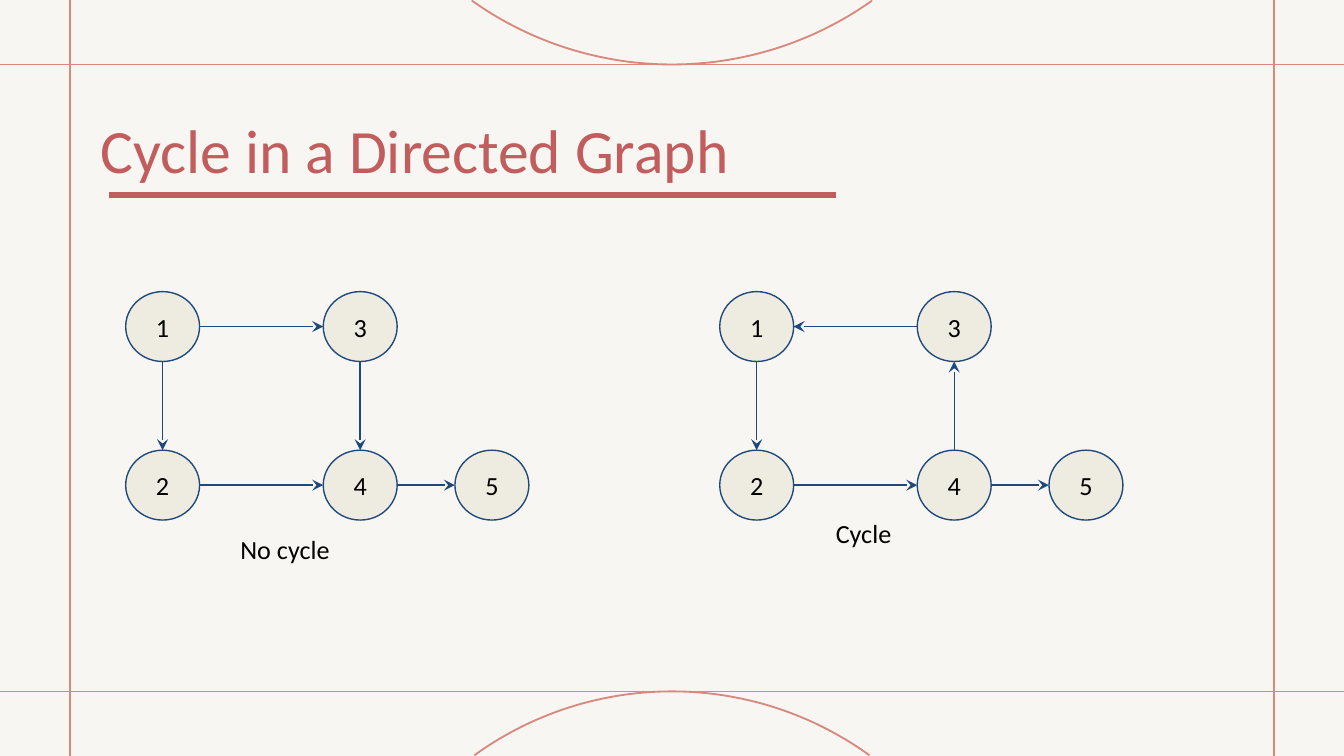
import math
from lxml import etree
from pptx import Presentation
from pptx import util as u
from pptx.dml.color import RGBColor
from pptx.enum import shapes, text
from pptx.oxml import ns

PAPER = RGBColor(0xF8, 0xF6, 0xF2)
ROSE = RGBColor(0xD8, 0x89, 0x7E)
RED = RGBColor(0xC2, 0x5D, 0x5D)
NAVY = RGBColor(0x1F, 0x49, 0x7D)
CREAM = RGBColor(0xEE, 0xEC, 0xE1)
BLACK = RGBColor(0, 0, 0)

WIDE = 10
HIGH = WIDE * 9 / 16
COL, ROW = 0.49, 1.18  # grid steps between node centres
NODE_W, NODE_H = 0.55, 0.52

deck = Presentation()
deck.slide_width, deck.slide_height = u.Inches(WIDE), u.Inches(HIGH)
slide = deck.slides.add_slide(deck.slide_layouts[6])
slide.background.fill.solid()
slide.background.fill.fore_color.rgb = PAPER
tree = slide.shapes


def write(words, box, size=14, color=BLACK, inset=0.1, align=text.PP_ALIGN.LEFT,
          anchor=text.MSO_ANCHOR.TOP):
    frame = box.text_frame
    frame.word_wrap = True
    frame.vertical_anchor = anchor
    frame.margin_left = frame.margin_right = u.Inches(inset)
    frame.margin_top = frame.margin_bottom = u.Inches(inset)
    para = frame.paragraphs[0]
    para.text, para.alignment = words, align
    para.font.size, para.font.name = u.Pt(size), "Calibri"
    para.font.color.rgb = color


def rule(x1, y1, x2, y2, color, width, arrow=False):
    """Draw a straight line, with an arrowhead at its end if asked."""
    line = tree.add_connector(shapes.MSO_CONNECTOR.STRAIGHT,
                              *map(u.Inches, (x1, y1, x2, y2)))
    line.line.color.rgb, line.line.width = color, u.Pt(width)
    if arrow:
        etree.SubElement(line.line._get_or_add_ln(), ns.qn("a:tailEnd"), type="stealth")
    etree.SubElement(line._element.spPr, ns.qn("a:effectLst"))


# Frame lines and the arcs that touch them
edge_x, edge_y = 0.52, 0.48
for y in (HIGH - edge_y, edge_y):
    rule(0, y, WIDE, y, ROSE, 1)
for x in (WIDE - edge_x, edge_x):
    rule(x, 0, x, HIGH, ROSE, 1)

for tip, side, half, rad in ((edge_y, -1, 1.49, 2.57), (HIGH - edge_y, 1, 1.47, 2.51)):
    sweep = math.asin(half / rad)
    dots = []
    for step in range(-30, 31):
        turn = sweep * step / 30
        dots.append((u.Inches(WIDE / 2 + rad * math.sin(turn)),
                     u.Inches(tip + side * rad * (1 - math.cos(turn)))))
    pen = tree.build_freeform(*dots[0])
    pen.add_line_segments(dots[1:], close=False)
    arc = pen.convert_to_shape()
    arc.shadow.inherit = False
    arc.fill.background()
    arc.line.color.rgb, arc.line.width = ROSE, u.Pt(1)

# Title
rule(0.81, 1.45, 6.22, 1.45, RED, 3)
title = tree.add_textbox(*map(u.Inches, (0.75, 0.83, 5.47, 0.56)))
write("Cycle in a Directed Graph", title, size=33, color=RED, inset=0)

# Graphs: each node sits at a (column, row) of the grid
spots = {1: (0, 0), 3: (3, 0), 2: (0, 1), 4: (3, 1), 5: (5, 1)}
graphs = (
    (1.21, "No cycle", 1.69, 3.87, ((1, 3), (1, 2), (2, 4), (3, 4), (4, 5))),
    (5.63, "Cycle", 6.12, 3.75, ((3, 1), (1, 2), (2, 4), (4, 3), (4, 5))),
)
for left, label, label_x, label_y, links in graphs:
    mid = {n: (left + c * COL, 2.43 + r * ROW) for n, (c, r) in spots.items()}
    for name, (x, y) in mid.items():
        node = tree.add_shape(shapes.MSO_SHAPE.OVAL, *map(u.Inches, (
            x - NODE_W / 2, y - NODE_H / 2, NODE_W, NODE_H)))
        node.shadow.inherit = False
        node.fill.solid()
        node.fill.fore_color.rgb = CREAM
        node.line.color.rgb, node.line.width = NAVY, u.Pt(0.75)
        write(str(name), node, align=text.PP_ALIGN.CENTER, anchor=text.MSO_ANCHOR.MIDDLE)
    for start, end in links:
        (x1, y1), (x2, y2) = mid[start], mid[end]
        # Trim half a node off both ends, along the way the link runs
        dx = math.copysign(NODE_W / 2, x2 - x1) if x1 != x2 else 0
        dy = math.copysign(NODE_H / 2, y2 - y1) if y1 != y2 else 0
        rule(x1 + dx, y1 + dy, x2 - dx, y2 - dy, NAVY, 0.75, arrow=True)
    note = tree.add_textbox(*map(u.Inches, (label_x, label_y, 0.99, 0.58)))
    write(label, note)

deck.save("out.pptx")
